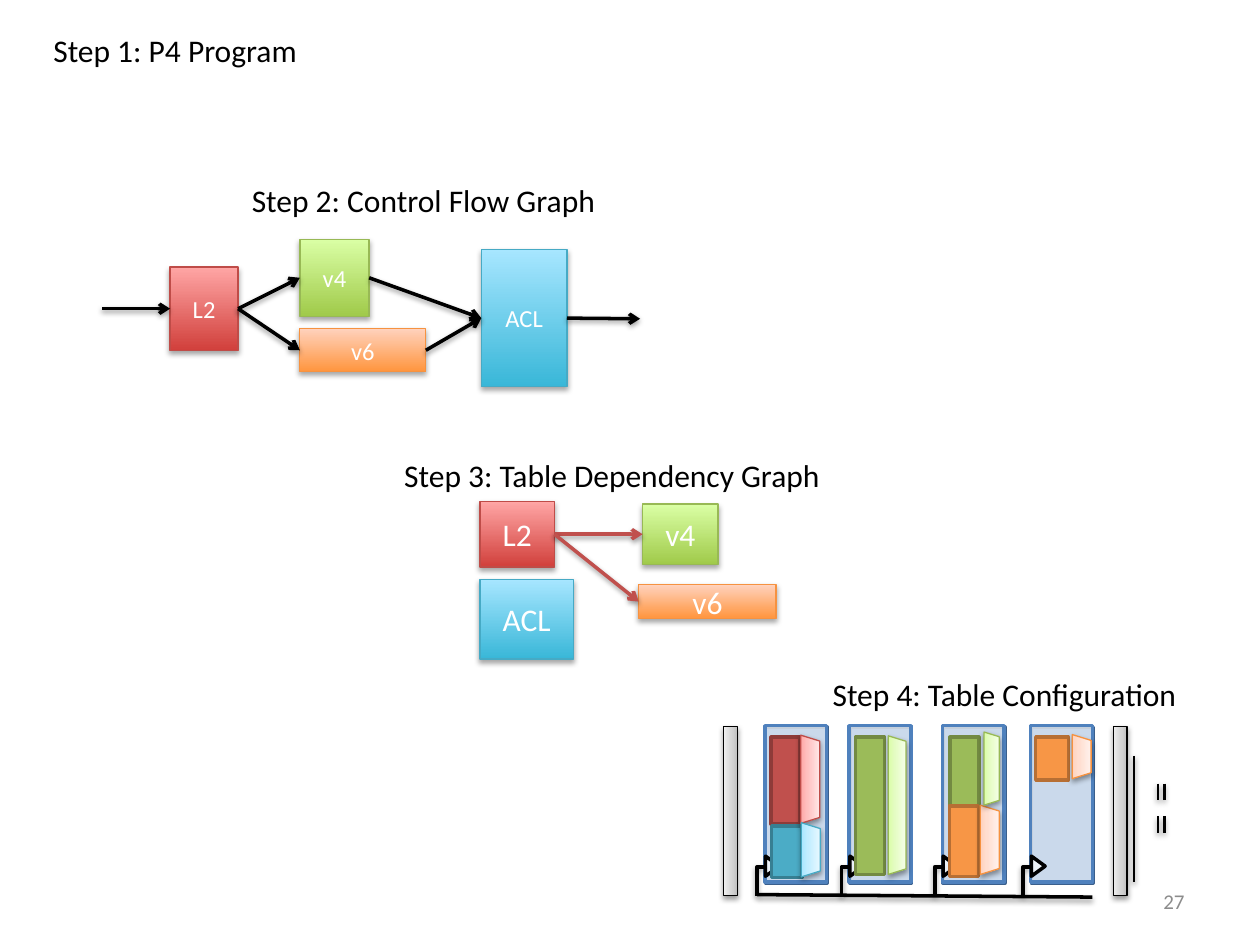
"""Build the four-step slide from P4 program to table configuration."""
import pptx
import pptx.dml.color
import pptx.enum.shapes
import pptx.enum.text
import pptx.oxml.ns
import pptx.util
from lxml import etree

Inches = pptx.util.Inches
RGB = pptx.dml.color.RGBColor.from_string
qn = pptx.oxml.ns.qn
SHAPE = pptx.enum.shapes.MSO_SHAPE
CONNECTOR = pptx.enum.shapes.MSO_CONNECTOR
ALIGN = pptx.enum.text.PP_ALIGN
ANCHOR = pptx.enum.text.MSO_ANCHOR


class Theme:
    font = "Calibri"
    heading, node, number = 18, 14, 12
    thin, medium, thick = 0.75, 1.5, 2
    black, white, grey = "000000", "FFFFFF", "8C8C8C"
    stage, stage_edge = "4F81BD", "3A5F8C"
    bar = ("BDBDBD", "D1D1D1", "EEEEEE")
    solid = {"red": "C0504D", "green": "9BBB59", "orange": "F79646", "blue": "4BACC6"}
    dark = {"red": "8E3B39", "green": "738A42", "orange": "B76F34", "blue": "377F92"}
    edge = {"red": "BF4C48", "green": "98B955", "orange": "F69240", "blue": "46AAC5"}
    strong = {"red": ("D1403C", "FFA6A5"), "green": ("A0CA4A", "DAFFA5"),
              "orange": ("FF953E", "FFD2BD"), "blue": ("39B7D8", "A7E6FF")}
    pale = {"red": ("FFA6A5", "FFC0BF", "FFE7E7"), "green": ("DAFDA7", "E4FCC2", "F5FFE7"),
            "orange": ("FFD2BD", "FFDED0", "FFF2ED"), "blue": ("A7E6FF", "C1EDFF", "E7F8FF")}
    node_shadow, line_shadow = (35, 1.8), (38, 1.6)


def style(shape, line, width, fill=None, shadow=None, alpha=None, arrow=False):
    properties = shape.element.spPr
    if isinstance(fill, tuple):
        shape.fill.gradient()
        shape.fill.gradient_angle = 90
        stops = shape.fill.gradient_stops
        stops[0].color.rgb, stops[1].color.rgb = RGB(fill[0]), RGB(fill[-1])
        if len(fill) == 3:
            middle = etree.Element(qn("a:gs"), pos="35000")
            etree.SubElement(middle, qn("a:srgbClr"), val=fill[1])
            properties.find(qn("a:gradFill") + "/" + qn("a:gsLst")).insert(1, middle)
    elif fill:
        shape.fill.solid()
        shape.fill.fore_color.rgb = RGB(fill)
    if alpha:
        color = properties.find(qn("a:solidFill") + "/" + qn("a:srgbClr"))
        etree.SubElement(color, qn("a:alpha"), val=str(alpha * 1000))
    shape.line.color.rgb = RGB(line)
    shape.line.width = pptx.util.Pt(width)
    if arrow:
        etree.SubElement(properties.find(qn("a:ln")), qn("a:tailEnd"), type="arrow")
    effects = etree.SubElement(properties, qn("a:effectLst"))
    if shadow:
        opacity, distance = shadow
        outer = etree.SubElement(effects, qn("a:outerShdw"), blurRad=str(pptx.util.Pt(3.1)),
                                 dist=str(pptx.util.Pt(distance)), dir="5400000", rotWithShape="0")
        color = etree.SubElement(outer, qn("a:srgbClr"), val=Theme.black)
        etree.SubElement(color, qn("a:alpha"), val=str(opacity * 1000))


def write(shape, text, size, color, align):
    shape.text_frame.word_wrap = True
    shape.text_frame.text = text
    paragraph = shape.text_frame.paragraphs[0]
    paragraph.alignment = align
    font = paragraph.runs[0].font
    font.name, font.size, font.color.rgb = Theme.font, pptx.util.Pt(size), RGB(color)


presentation = pptx.Presentation()
presentation.slide_width, presentation.slide_height = Inches(10), Inches(7.5)
slide = presentation.slides.add_slide(presentation.slide_layouts[6])
shapes = slide.shapes

for text, left, top, width, size, color, align in (
    ("Step 1: P4 Program", 0.08, 0.2, 2.62, Theme.heading, Theme.black, ALIGN.CENTER),
    ("Step 2: Control Flow Graph", 1.9, 1.39, 3.42, Theme.heading, Theme.black, ALIGN.LEFT),
    ("Step 3: Table Dependency Graph", 3.11, 3.57, 3.91, Theme.heading, Theme.black, ALIGN.LEFT),
    ("Step 4: Table Configuration", 6.51, 5.31, 3.17, Theme.heading, Theme.black, ALIGN.LEFT),
    ("27", 7.17, 6.95, 2.33, Theme.number, Theme.grey, ALIGN.RIGHT),
):
    label = shapes.add_textbox(Inches(left), Inches(top), Inches(width), Inches(0.4))
    write(label, text, size, color, align)
    if size == Theme.number:
        label.text_frame.vertical_anchor = ANCHOR.MIDDLE

nodes = {}
for graph, size, text, hue, frame in (
    ("flow", Theme.node, "L2", "red", (1.35, 2.12, 0.54, 0.66)),
    ("flow", Theme.node, "v4", "green", (2.38, 1.9, 0.55, 0.61)),
    ("flow", Theme.node, "v6", "orange", (2.38, 2.61, 1, 0.34)),
    ("flow", Theme.node, "ACL", "blue", (3.82, 1.98, 0.68, 1.09)),
    ("dependency", Theme.heading, "L2", "red", (3.81, 3.98, 0.59, 0.52)),
    ("dependency", Theme.heading, "v4", "green", (5.1, 4, 0.6, 0.48)),
    ("dependency", Theme.heading, "v6", "orange", (5.07, 4.64, 1.09, 0.27)),
    ("dependency", Theme.heading, "ACL", "blue", (3.81, 4.6, 0.74, 0.63)),
):
    node = shapes.add_shape(SHAPE.RECTANGLE, *map(Inches, frame))
    style(node, Theme.edge[hue], Theme.thin, Theme.strong[hue], Theme.node_shadow)
    write(node, text, size, Theme.white, ALIGN.CENTER)
    nodes[graph, text] = node

for graph, source, target, color, ends in (
    ("flow", None, "L2", Theme.black, (0.81, 2.45, 1.35, 2.45)),
    ("flow", "L2", "v4", Theme.black, (1.88, 2.45, 2.38, 2.21)),
    ("flow", "L2", "v6", Theme.black, (1.88, 2.45, 2.38, 2.78)),
    ("flow", "v4", "ACL", Theme.black, (2.93, 2.21, 3.82, 2.53)),
    ("flow", "v6", "ACL", Theme.black, (3.38, 2.78, 3.82, 2.53)),
    ("flow", "ACL", None, Theme.black, (4.5, 2.53, 5.08, 2.53)),
    ("dependency", "L2", "v4", Theme.solid["red"], (4.4, 4.24, 5.1, 4.24)),
    ("dependency", "L2", "v6", Theme.solid["red"], (4.4, 4.24, 5.07, 4.78)),
):
    arrow = shapes.add_connector(CONNECTOR.STRAIGHT, *map(Inches, ends))
    if source:
        arrow.begin_connect(nodes[graph, source], 3)
    if target:
        arrow.end_connect(nodes[graph, target], 1)
    style(arrow, color, Theme.thick, shadow=Theme.line_shadow, arrow=True)

stage_lefts = (6.07, 6.74, 7.48, 8.18)
for left in stage_lefts:
    for offset, line, fill, alpha in ((0.01, Theme.stage_edge, Theme.stage, None),
                                      (0, Theme.stage, Theme.white, 70)):
        stage = shapes.add_shape(SHAPE.RECTANGLE, Inches(left + offset / 2), Inches(5.76 + offset),
                                 Inches(0.49), Inches(1.24))
        style(stage, line, Theme.thick, fill, alpha=alpha)

for left in (5.13, 8.22):
    bar = shapes.add_shape(SHAPE.RECTANGLE, Inches(left), Inches(6.38), Inches(1.34), Inches(0.11))
    bar.rotation = 270
    style(bar, Theme.black, Theme.thin, Theme.bar, Theme.line_shadow)

for top in (6.22, 6.48):
    bottom = top + 0.13
    builder = shapes.build_freeform(9.05, top, Inches(1))
    builder.add_line_segments([(9.29, top), (9.29, bottom), (9.05, bottom)], close=False)
    queue = builder.convert_to_shape()
    queue.fill.background()
    style(queue, Theme.black, Theme.medium, shadow=Theme.line_shadow)
    for x in (9.19, 9.24):
        slot = shapes.add_connector(CONNECTOR.STRAIGHT, *map(Inches, (x, top, x, bottom)))
        style(slot, Theme.black, Theme.medium, shadow=Theme.line_shadow)

for left in stage_lefts:
    clock = shapes.add_shape(SHAPE.ISOSCELES_TRIANGLE, Inches(left - 0.02), Inches(6.82),
                             Inches(0.16), Inches(0.11))
    clock.rotation = 90
    style(clock, Theme.black, Theme.thick, Theme.white, alpha=66)

clock_line = shapes.add_connector(CONNECTOR.STRAIGHT, *map(Inches, (6.01, 7.1, 8.67, 7.12)))
style(clock_line, Theme.black, Theme.thick, shadow=Theme.line_shadow)
for left in stage_lefts:
    branch = shapes.add_connector(CONNECTOR.ELBOW, *map(Inches, (left, 6.88, left - 0.06, 7.11)))
    branch.element.spPr.find(qn("a:prstGeom")).set("prst", "bentConnector2")
    style(branch, Theme.black, Theme.thick, shadow=Theme.line_shadow)

for hue, frame in (
    ("red", (5.89, 6.08, 0.69, 0.23)),
    ("green", (7.38, 6.01, 0.55, 0.23)),
    ("orange", (7.37, 6.56, 0.56, 0.23)),
    ("green", (6.36, 6.28, 1.09, 0.23)),
    ("blue", (6.04, 6.64, 0.41, 0.24)),
    ("orange", (8.18, 5.89, 0.34, 0.26)),
):
    memory = shapes.add_shape(SHAPE.RECTANGLE, *map(Inches, frame))
    memory.rotation = 270
    style(memory, Theme.dark[hue], Theme.thick, Theme.solid[hue])

for hue, frame in (
    ("red", (6.08, 6.11, 0.7, 0.15)),
    ("green", (6.57, 6.32, 1.1, 0.14)),
    ("orange", (8.41, 5.93, 0.35, 0.15)),
    ("blue", (6.22, 6.67, 0.43, 0.15)),
    ("orange", (7.58, 6.59, 0.55, 0.15)),
    ("green", (7.58, 6.04, 0.58, 0.12)),
):
    action = shapes.add_shape(SHAPE.TRAPEZOID, *map(Inches, frame))
    action.rotation = 90
    action.adjustments[0] = 0.31
    style(action, Theme.edge[hue], Theme.thin, Theme.pale[hue], Theme.line_shadow)

presentation.save("out.pptx")
